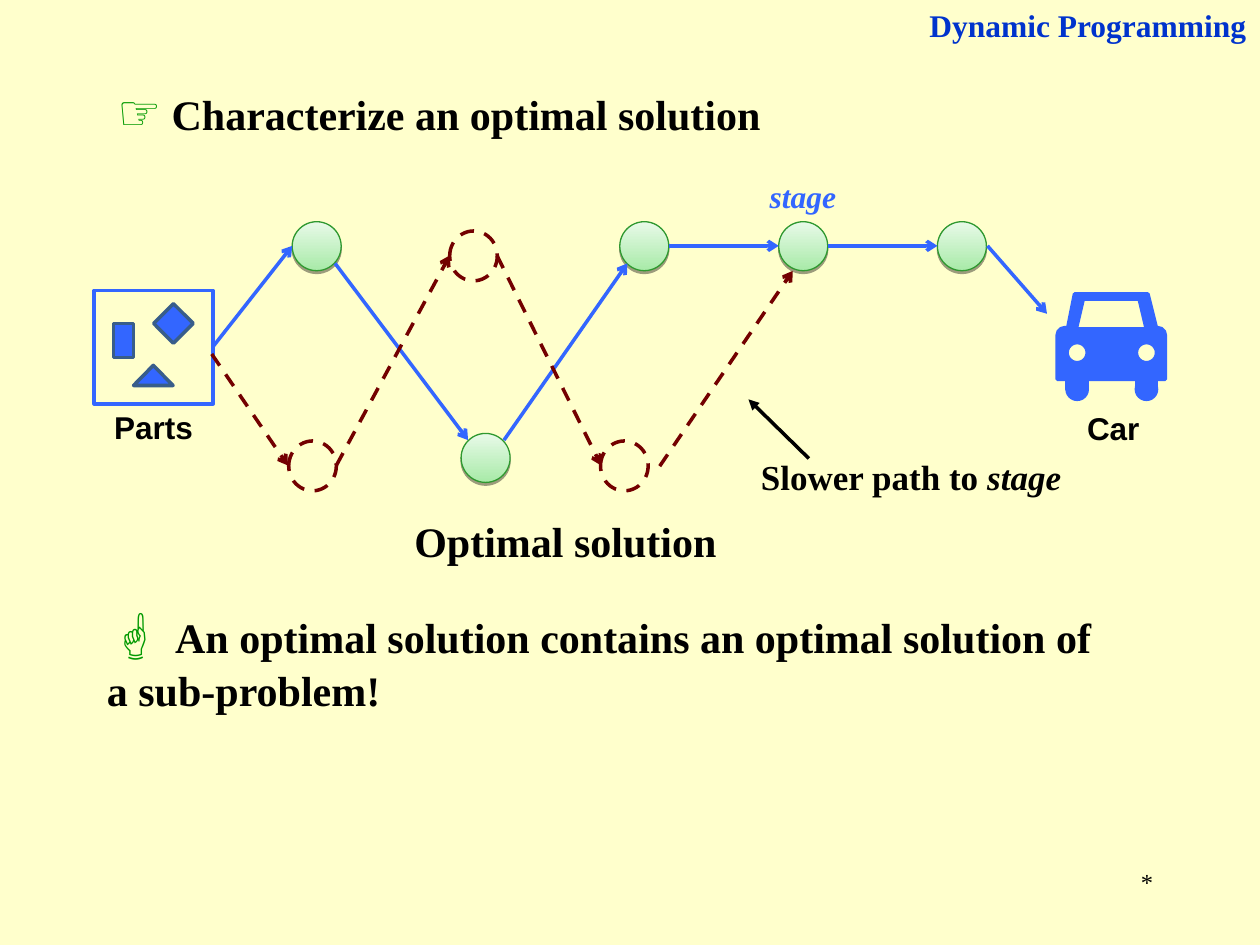
from dataclasses import dataclass
from typing import Optional

from lxml import etree
from pptx import Presentation
from pptx.dml.color import RGBColor
from pptx.enum.dml import MSO_LINE
from pptx.enum.shapes import MSO_CONNECTOR, MSO_SHAPE
from pptx.enum.text import MSO_ANCHOR, MSO_AUTO_SIZE, PP_ALIGN
from pptx.oxml.ns import qn
from pptx.util import Pt

RECT, OVAL = MSO_SHAPE.RECTANGLE, MSO_SHAPE.OVAL
WEDGE, GEM = MSO_SHAPE.ISOSCELES_TRIANGLE, MSO_SHAPE.DIAMOND
HOOD = MSO_SHAPE.ROUND_2_SAME_RECTANGLE
STRAIGHT, DASH = MSO_CONNECTOR.STRAIGHT, MSO_LINE.DASH
LEFT, MID, RIGHT = PP_ALIGN.LEFT, PP_ALIGN.CENTER, PP_ALIGN.RIGHT
TOP, FIXED = MSO_ANCHOR.TOP, MSO_AUTO_SIZE.NONE
SERIF, SANS = "Times New Roman", "Arial"

COLORS = {
    "page": "FFFFCC", "blue": "3366FF", "navy": "0033CC", "edge": "385D8A",
    "hand": "009900", "rim": "2F982F", "mint": "A8EAA8", "pale": "E8FAE8",
    "slow": "730000", "black": "000000",
}


@dataclass
class Run:
    text: str
    size: float
    font: str = SERIF
    color: str = "black"
    bold: bool = True
    italic: bool = False


@dataclass
class Label:
    box: tuple
    runs: list
    align: PP_ALIGN = LEFT
    wrap: bool = False


@dataclass
class Part:
    kind: MSO_SHAPE
    box: tuple
    fill: Optional[str] = "blue"
    line: str = "blue"
    width: float = 2
    dash: bool = False


@dataclass
class Arrow:
    start: tuple
    end: tuple
    color: str = "blue"
    dash: bool = False
    head: str = "arrow"


def tint(name: str) -> RGBColor:
    return RGBColor.from_string(COLORS[name])


def write(shape, label: Label) -> None:
    frame = shape.text_frame
    frame.auto_size = FIXED
    frame.word_wrap = label.wrap
    frame.vertical_anchor = TOP
    para = frame.paragraphs[0]
    para.alignment = label.align
    for item in label.runs:
        run = para.add_run()
        run.text = item.text
        font = run.font
        font.name, font.size = item.font, Pt(item.size)
        font.bold, font.italic = item.bold, item.italic
        font.color.rgb = tint(item.color)


def add_label(slide, label: Label) -> None:
    write(slide.shapes.add_textbox(*map(Pt, label.box)), label)


def paint(shape, part: Part) -> None:
    shape.shadow.inherit = False
    if part.fill is None:
        shape.fill.background()
    else:
        shape.fill.solid()
        shape.fill.fore_color.rgb = tint(part.fill)
    shape.line.color.rgb = tint(part.line)
    shape.line.width = Pt(part.width)
    if part.dash:
        shape.line.dash_style = DASH


def add_part(slide, part: Part):
    shape = slide.shapes.add_shape(part.kind, *map(Pt, part.box))
    paint(shape, part)
    return shape


def add_node(slide, left: float, top: float) -> None:
    node = add_part(slide, Part(OVAL, (left, top, 28, 28), "mint", "rim", 0.75))
    node.fill.gradient()
    node.fill.gradient_angle = 90
    for stop, name in zip(node.fill.gradient_stops, ("mint", "pale")):
        stop.color.rgb = tint(name)
    effects = node._element.spPr.find(qn("a:effectLst"))
    shade = etree.SubElement(effects, qn("a:outerShdw"), blurRad="0",
                             dist=str(Pt(1.6)), dir="5400000", rotWithShape="0")
    color = etree.SubElement(shade, qn("a:srgbClr"), val=COLORS["black"])
    etree.SubElement(color, qn("a:alpha"), val="38000")


def add_arrow(slide, arrow: Arrow) -> None:
    link = slide.shapes.add_connector(STRAIGHT, *map(Pt, arrow.start + arrow.end))
    link.line.color.rgb = tint(arrow.color)
    link.line.width = Pt(2)
    if arrow.dash:
        link.line.dash_style = DASH
    props = link._element.spPr
    etree.SubElement(props.find(qn("a:ln")), qn("a:tailEnd"), type=arrow.head)
    etree.SubElement(props, qn("a:effectLst"))


def add_outline(slide, points: list, part: Part) -> None:
    pen = slide.shapes.build_freeform(*points[0], scale=Pt(1))
    pen.add_line_segments(points[1:], close=True)
    paint(pen.convert_to_shape(), part)


def add_car(slide) -> None:
    sides = (609.8, 649.4)
    for left in sides:
        add_part(slide, Part(RECT, (left, 205.2, 11.5, 17.3)))
        add_part(slide, Part(OVAL, (left, 216.7, 11.5, 11.5)))
    cabin = [(609.8, 187.5), (614.2, 168.5), (655.9, 168.5), (660.6, 187.5)]
    add_outline(slide, cabin, Part(RECT, ()))
    body = add_part(slide, Part(HOOD, (604.1, 187.2, 61.9, 29.5)))
    body.adjustments[0] = 0.15
    glass = [(614.9, 187.5), (619.2, 171.1), (650.7, 171.1), (654.7, 187.5)]
    add_outline(slide, glass, Part(RECT, (), "page"))
    for left in sides:
        add_part(slide, Part(OVAL, (left, 195.8, 11.5, 11.5), "page"))


NODES = [(167, 126.7), (354.2, 126.7), (535.7, 126.7), (263.5, 247.7), (445, 126.7)]
RINGS = [(165, 252), (257, 132), (343.2, 252)]

PARTS = [
    Part(RECT, (53.8, 166, 68, 64.8), "page"),
    Part(RECT, (64.8, 185, 11.5, 19.4), line="edge"),
    Part(WEDGE, (76.3, 208.8, 22.6, 11.5), line="edge"),
    Part(GEM, (87.8, 173.5, 22.6, 22.6), line="edge"),
]

ARROWS = [
    # Best path
    Arrow((121.8, 198), (167, 140.5)),
    Arrow((191.5, 150.5), (267.5, 251.5)),
    Arrow((288, 251.5), (358.5, 150.5)),
    Arrow((382.3, 140.5), (445, 140.5)),
    Arrow((473, 140.5), (535.7, 140.5)),
    Arrow((564.3, 140.5), (598.3, 179.3)),
    # Slower path
    Arrow((121, 202.3), (164.5, 266), "slow", True),
    Arrow((192.2, 266), (257, 146), "slow", True),
    Arrow((284, 146), (343.5, 266), "slow", True),
    Arrow((377, 266.4), (453, 154.8), "slow", True),
    # Pointer
    Arrow((462.2, 262), (427.7, 228.2), "black", head="triangle"),
]

HEADING = Label((59.8, 43.2, 408.2, 41), [
    Run("☞", 28, SANS, "hand"),
    Run(" Characterize an optimal solution", 24)], wrap=True)

LABELS = [
    Label((516.2, 491.8, 149.8, 36), [Run("*", 14, bold=False)], RIGHT, True),
    Label((468, 0, 251.3, 28.8), [Run("Dynamic Programming", 18, color="navy")],
          RIGHT, True),
    Label((58.3, 229.7, 59, 28.8), [Run("Parts", 18, SANS)], MID),
    Label((614.2, 230.4, 43.9, 28.8), [Run("Car", 18, SANS)], MID),
    Label((229.7, 290.9, 187.2, 36), [Run("Optimal solution", 24)]),
    Label((427.7, 257, 186.5, 31.7), [
        Run("Slower path to ", 20), Run("stage", 20, italic=True)]),
    Label((432.7, 97.9, 52.6, 28.8), [Run("stage", 18, color="blue", italic=True)]),
    Label((54, 337.7, 578.2, 74.9), [
        Run("☝ ", 32, SANS, "hand"),
        Run("An optimal solution contains an optimal solution of a sub-problem!", 24),
    ], wrap=True),
]


def main() -> None:
    deck = Presentation()
    deck.slide_width, deck.slide_height = Pt(720), Pt(540)
    slide = deck.slides.add_slide(deck.slide_layouts[5])
    slide.background.fill.solid()
    slide.background.fill.fore_color.rgb = tint("page")

    # Title
    title = slide.shapes.title
    title.left, title.top, title.width, title.height = map(Pt, HEADING.box)
    write(title, HEADING)

    # Parts box, stages and car
    for part in PARTS:
        add_part(slide, part)
    for spot in NODES:
        add_node(slide, *spot)
    for left, top in RINGS:
        add_part(slide, Part(OVAL, (left, top, 27.2, 28.5), None, "slow", dash=True))
    add_car(slide)

    # Paths and text
    for arrow in ARROWS:
        add_arrow(slide, arrow)
    for label in LABELS:
        add_label(slide, label)
    deck.save("out.pptx")


if __name__ == "__main__":
    main()
